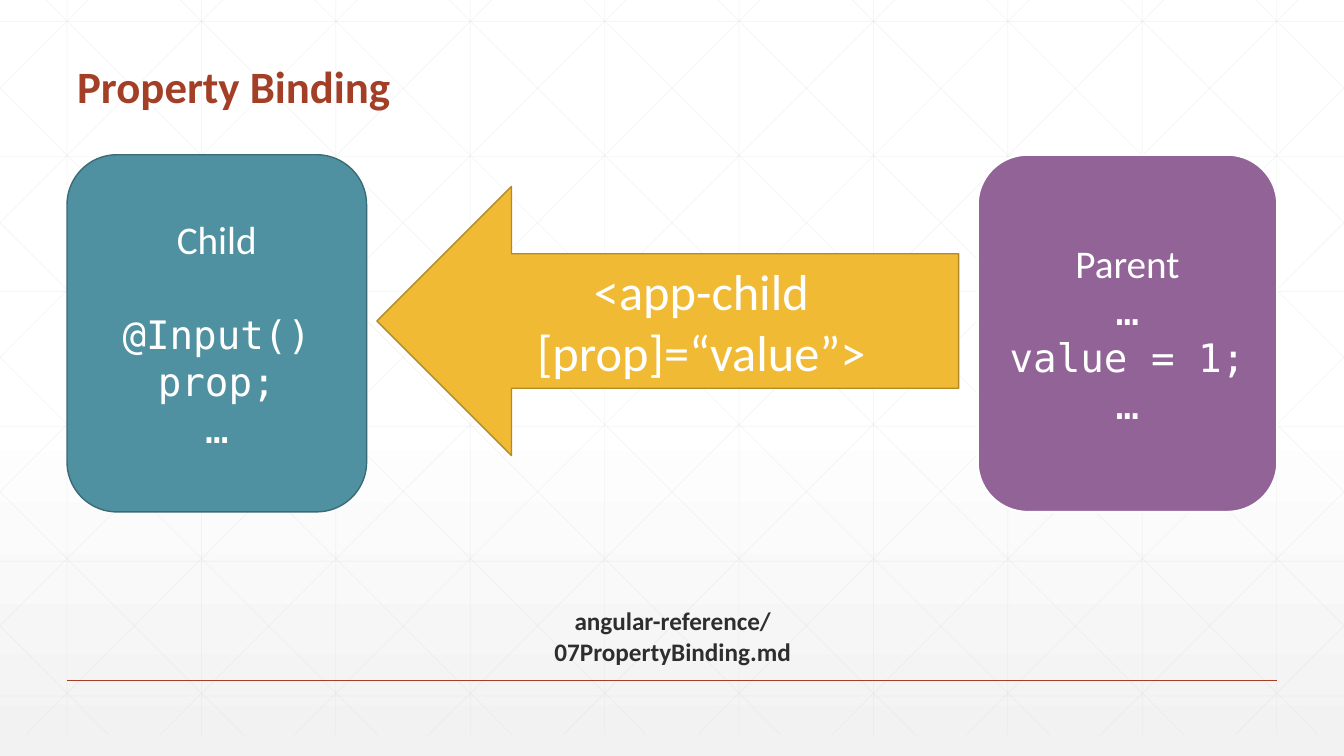
from lxml.etree import SubElement
from pptx import Presentation
from pptx.dml.color import RGBColor
from pptx.enum.shapes import MSO_CONNECTOR, MSO_SHAPE
from pptx.enum.text import MSO_ANCHOR, MSO_AUTO_SIZE, PP_ALIGN
from pptx.oxml.ns import qn
from pptx.util import Cm, Pt

RUST = RGBColor(0xA4, 0x3F, 0x27)
GOLD = RGBColor(0xF0, 0xBA, 0x34)
BRONZE = RGBColor(0xB2, 0x8A, 0x26)
TEAL = RGBColor(0x4F, 0x91, 0xA1)
PINE = RGBColor(0x3A, 0x6B, 0x77)
PLUM = RGBColor(0x92, 0x63, 0x97)
INK = RGBColor(0x2D, 0x2E, 0x2D)
GREY = RGBColor(0xD9, 0xD9, 0xD9)
PALE = RGBColor(0xF2, 0xF2, 0xF2)
WHITE = RGBColor(0xFF, 0xFF, 0xFF)

SANS = "Calibri"
MONO = "DejaVu Sans Mono"
WIDE, HIGH = 33.87, 19.05
FOOT = 18.52
STEP = WIDE / 10
EDGE = 1.69


def paint(slide):
    fill = slide.background.fill
    fill.gradient()
    fill.gradient_angle = 270
    for stop, spot, color in zip(fill.gradient_stops, (0.53, 1), (WHITE, PALE)):
        stop.position = spot
        stop.color.rgb = color


def add_line(slide, start, end, color, width, alpha=None):
    ends = [Cm(value) for value in (*start, *end)]
    line = slide.shapes.add_connector(MSO_CONNECTOR.STRAIGHT, *ends)
    line.line.color.rgb = color
    line.line.width = Pt(width)
    props = line.element.spPr
    if alpha:
        tint = next(props.iter(qn("a:srgbClr")))
        SubElement(tint, qn("a:alpha"), val=str(alpha * 1000))
    SubElement(props, qn("a:effectLst"))


def add_grid(slide):
    def rule(start, end):
        add_line(slide, start, end, GREY, 0.5, 25)

    for col in range(10):
        left = EDGE + col * STEP
        rule((left, 0), (left, FOOT))
    for row in range(6):
        top = 0.54 + row * 3.4
        rule((0, top), (WIDE, top))
    for col in range(-5, 10):
        base = 1.16 + col * STEP
        left, right = max(0, base), min(WIDE, base + FOOT)
        top, bottom = left - base, right - base
        rule((left, top), (right, bottom))
        rule((WIDE - left, top), (WIDE - right, bottom))


def add_text(frame, lines, size, color, align, bold=False):
    frame.word_wrap = True
    for index, (text, font, gap) in enumerate(lines):
        para = frame.paragraphs[0] if index == 0 else frame.add_paragraph()
        para.alignment = align
        para.space_before = Pt(gap)
        run = para.add_run()
        run.text = text
        run.font.name = font
        run.font.size = Pt(size)
        run.font.bold = bold
        run.font.color.rgb = color


def add_block(slide, kind, box, fill, edge, width, lines, size):
    shape = slide.shapes.add_shape(kind, *[Cm(value) for value in box])
    shape.shadow.inherit = False
    shape.fill.solid()
    shape.fill.fore_color.rgb = fill
    shape.line.color.rgb = edge
    shape.line.width = Pt(width)
    shape.text_frame.vertical_anchor = MSO_ANCHOR.MIDDLE
    add_text(shape.text_frame, lines, size, WHITE, PP_ALIGN.CENTER)


def set_title(slide, text):
    title = slide.shapes.title
    title.element.getparent().append(title.element)
    title.left, title.top = Cm(EDGE), Cm(1.4)
    title.width, title.height = Cm(30.5), Cm(1.57)
    frame = title.text_frame
    frame.auto_size = MSO_AUTO_SIZE.NONE
    frame.vertical_anchor = MSO_ANCHOR.BOTTOM
    add_text(frame, [(text, SANS, 0)], 32, RUST, PP_ALIGN.LEFT, True)
    frame.paragraphs[0].line_spacing = 0.9


def add_note(slide, text):
    note = slide.shapes.add_textbox(Cm(12.09), Cm(15.14), Cm(9.73), Cm(1.8))
    add_text(note.text_frame, [(text, SANS, 0)], 18, INK, PP_ALIGN.CENTER, True)


def main():
    deck = Presentation()
    deck.slide_width, deck.slide_height = Cm(WIDE), Cm(HIGH)
    slide = deck.slides.add_slide(deck.slide_layouts[5])
    paint(slide)
    add_grid(slide)
    add_line(slide, (EDGE, 17.14), (WIDE - EDGE, 17.14), RUST, 1)
    set_title(slide, "Property Binding")
    add_block(slide, MSO_SHAPE.LEFT_ARROW, (9.5, 4.7, 14.66, 6.78),
              GOLD, BRONZE, 1, [("<app-child [prop]=“value”>", SANS, 0)], 36)
    child = [("Child", SANS, 0), ("@Input() prop;", MONO, 34), ("…", MONO, 0)]
    parent = [("Parent", SANS, 0), ("…", MONO, 0),
              ("value = 1;", MONO, 0), ("…", MONO, 0)]
    for left, fill, edge, width, lines in (
        (EDGE, TEAL, PINE, 1, child),
        (24.64, PLUM, WHITE, 1.5, parent),
    ):
        add_block(slide, MSO_SHAPE.ROUNDED_RECTANGLE, (left, 3.9, 7.55, 9),
                  fill, edge, width, lines, 28)
    add_note(slide, "angular-reference/07PropertyBinding.md")
    deck.save("out.pptx")


if __name__ == "__main__":
    main()
